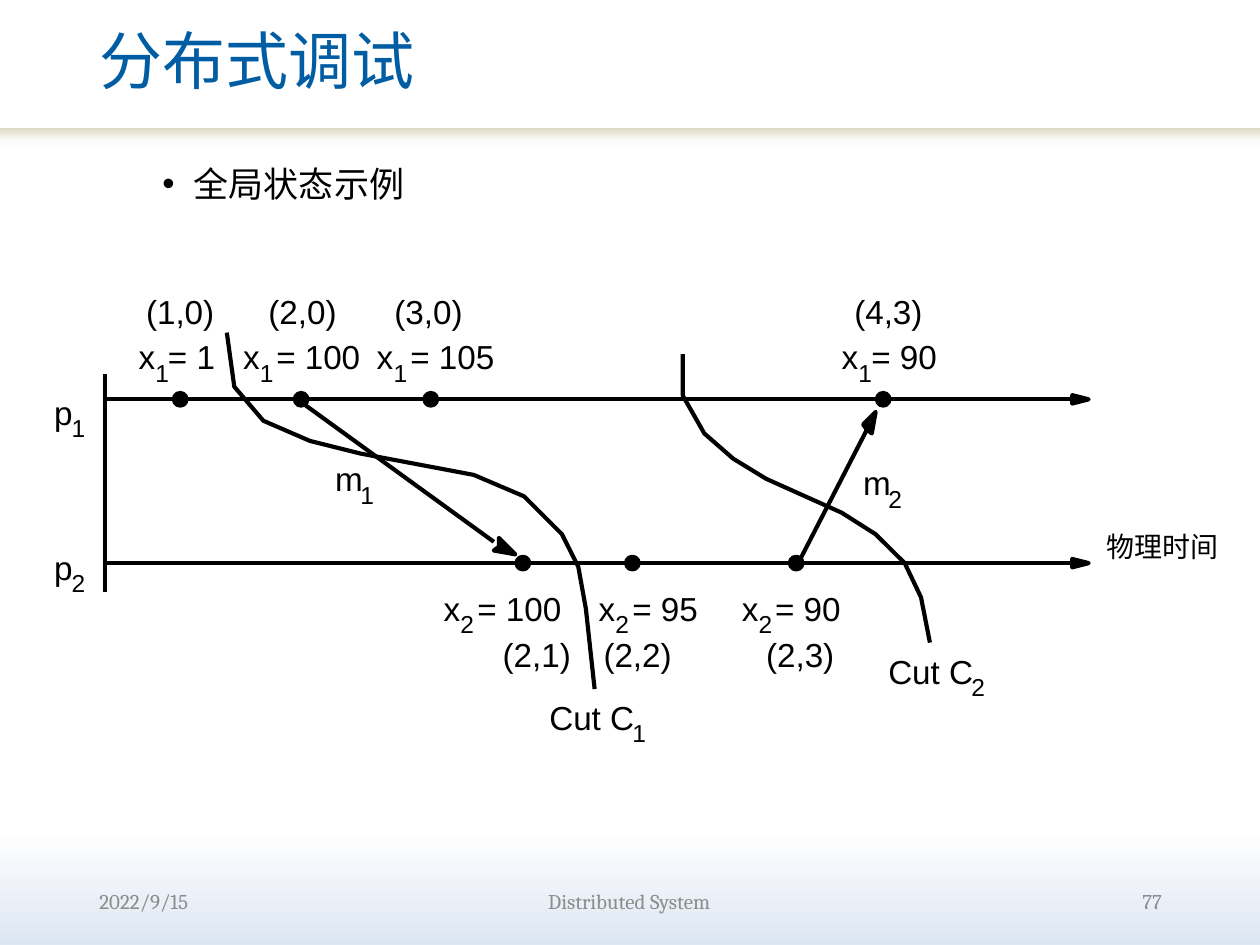
from dataclasses import dataclass
from lxml import etree
from pptx import Presentation
from pptx.dml.color import RGBColor
from pptx.enum.shapes import MSO_CONNECTOR, MSO_SHAPE
from pptx.enum.text import MSO_ANCHOR, PP_ALIGN
from pptx.oxml.ns import qn
from pptx.shapes.base import BaseShape
from pptx.slide import Slide
from pptx.util import Pt

LINE = MSO_CONNECTOR.STRAIGHT
RECT, OVAL = MSO_SHAPE.RECTANGLE, MSO_SHAPE.OVAL
TOP, MIDDLE = MSO_ANCHOR.TOP, MSO_ANCHOR.MIDDLE
LEFT, CENTER, RIGHT = PP_ALIGN.LEFT, PP_ALIGN.CENTER, PP_ALIGN.RIGHT

HUES = {"ink": "000000", "title": "005DA3", "foot": "8C8C8C", "white": "FFFFFF",
        "pale": "FBFBFB", "sand": "DDD9C3", "sky": "DCE6F2"}
WIDE, HIGH = 720, 540
STROKE, DOT = 2.38, 7.2
AXIS, TIP = 59.8, 612.7
ROW1, ROW2 = 228.2, 321.8

Point = tuple[float, float]


@dataclass(frozen=True)
class Event:
    dot: float
    left: float
    gap: float
    value: str
    clock: str
    mark: float


@dataclass(frozen=True)
class Row:
    y: float
    sub: str
    name_y: float
    value_y: float
    clock_y: float
    events: tuple[Event, ...]


@dataclass(frozen=True)
class Label:
    base: str
    sub: str
    x: float
    y: float
    gap: float
    drop: float = 12


@dataclass(frozen=True)
class Arrow:
    start: Point
    end: Point
    head: tuple[Point, ...]


ROWS = (
    Row(ROW1, "1", 223.9, 192.4, 166.3, (
        Event(103, 79.2, 16.8, "= 1", "(1,0)", 83.5),
        Event(172.1, 139, 18.9, "= 100", "(2,0)", 153.4),
        Event(246.2, 215.3, 19.2, "= 105", "(3,0)", 225.4),
        Event(504.7, 481, 17, "= 90", "(4,3)", 488.2))),
    Row(ROW2, "2", 312.5, 336.2, 362.2, (
        Event(298.8, 253.5, 19.3, "= 100", "(2,1)", 287.3),
        Event(361.4, 342.1, 19.3, "= 95", "(2,2)", 344.9),
        Event(455, 424, 18.9, "= 90", "(2,3)", 437.8))),
)
LABELS = (
    Label("m", "1", 191.5, 262.1, 14.4),
    Label("m", "2", 493.2, 264.4, 14.4),
    Label("Cut C", "1", 313.9, 398.2, 47.5),
    Label("Cut C", "2", 507.6, 372.2, 47.5),
)
MAILS = (
    Arrow((169.9, ROW1), (282.2, 309.6),
          ((285.1, 312.5), (285.1, 307.4), (294.5, 316.8), (282.2, 314.6))),
    Arrow((455, 324), (495.4, 245.5),
          ((495.4, 245.5), (493.2, 242.6), (500.4, 235.4), (498.2, 247.7))),
)
CUTS = (
    ((129.6, 190.1), (133.9, 221), (150.5, 240.5), (177.1, 252), (205.9, 259.2),
     (270.7, 271.4), (299.5, 283.7), (321.1, 305.3), (330.5, 324), (334.8, 347.8),
     (339.8, 393.8)),
    ((531.4, 367.2), (526.3, 341.3), (517, 321.8), (500.4, 305.3), (481, 293),
     (437.8, 273.6), (419, 262.1), (402.5, 247.7), (390.2, 226.1), (390.2, 202.3)),
)
FOOT = (("2022/9/15", 49.7, 149.8, LEFT), ("Distributed System", 198.7, 321.8, CENTER),
        ("77", 521.3, 149.8, RIGHT))


def paint(part, hue: str) -> None:
    part.solid()
    part.fore_color.rgb = RGBColor.from_string(HUES[hue])


def blend(fill, root, stops: tuple[tuple[int, str], ...], angle: int) -> None:
    fill.gradient()
    fill.gradient_angle = angle
    holder = next(root.iter(qn("a:gsLst")))
    for old in list(holder):
        holder.remove(old)
    for place, hue in stops:
        stop = etree.SubElement(holder, qn("a:gs"), pos=str(place * 1000))
        etree.SubElement(stop, qn("a:srgbClr"), val=HUES[hue])


def write(slide: Slide, words: str, x: float, y: float, w: float = 50, h: float = 23, *,
          size: float = 19, font: str = "Arial", hue: str = "ink", align=LEFT,
          anchor=TOP, inset: bool = False, space: float = 1, bullet: bool = False) -> None:
    frame = slide.shapes.add_textbox(Pt(x), Pt(y), Pt(w), Pt(h)).text_frame
    frame.word_wrap = inset
    frame.vertical_anchor = anchor
    if not inset:
        frame.margin_left = frame.margin_right = frame.margin_top = frame.margin_bottom = 0
    para = frame.paragraphs[0]
    if bullet:
        props = para._p.get_or_add_pPr()
        props.set("marL", str(Pt(54)))
        props.set("indent", str(Pt(-18)))
        etree.SubElement(props, qn("a:buFont"), typeface="Arial")
        etree.SubElement(props, qn("a:buChar"), char="•")
    para.alignment = align
    para.line_spacing = space
    run = para.add_run()
    run.text = words
    run.font.size = Pt(size)
    run.font.name = font
    run.font.color.rgb = RGBColor.from_string(HUES[hue])


def outline(shape: BaseShape) -> None:
    paint(shape.line.fill, "ink")
    shape.line.width = Pt(STROKE)


def rule(slide: Slide, start: Point, end: Point) -> None:
    line = slide.shapes.add_connector(LINE, *(Pt(n) for n in start + end))
    outline(line)
    etree.SubElement(line._element.spPr, qn("a:effectLst"))


def trace(slide: Slide, points: tuple[Point, ...], closed: bool) -> None:
    first, *rest = [(Pt(x), Pt(y)) for x, y in points]
    pen = slide.shapes.build_freeform(*first, scale=1.0)
    pen.add_line_segments(rest, close=closed)
    shape = pen.convert_to_shape()
    shape.shadow.inherit = False
    outline(shape)
    if closed:
        paint(shape.fill, "ink")
    else:
        shape.fill.background()


def arrow(slide: Slide, item: Arrow) -> None:
    trace(slide, item.head, True)
    rule(slide, item.start, item.end)


def label(slide: Slide, item: Label) -> None:
    write(slide, item.base, item.x, item.y)
    write(slide, item.sub, item.x + item.gap, item.y + item.drop, 8, 17, size=14)


def event(slide: Slide, row: Row, item: Event) -> None:
    dot = slide.shapes.add_shape(OVAL, Pt(item.dot - DOT / 2), Pt(row.y - DOT / 2),
                                 Pt(DOT), Pt(DOT))
    dot.shadow.inherit = False
    paint(dot.fill, "ink")
    outline(dot)
    label(slide, Label("x", row.sub, item.left, row.value_y, 9.6))
    write(slide, item.value, item.left + item.gap, row.value_y)
    write(slide, item.clock, item.mark, row.clock_y)


def main() -> None:
    deck = Presentation()
    deck.slide_width, deck.slide_height = Pt(WIDE), Pt(HIGH)
    slide = deck.slides.add_slide(deck.slide_layouts[6])
    blend(slide.background.fill, slide._element,
          ((0, "white"), (88, "white"), (100, "sky")), 270)
    band = slide.shapes.add_shape(RECT, 0, Pt(73.4), Pt(WIDE), Pt(12.2))
    band.shadow.inherit = False
    band.line.fill.background()
    blend(band.fill, band._element, ((0, "white"), (45, "pale"), (100, "sand")), 90)

    write(slide, "分布式调试", 49.7, 0, 597.6, 73.4, size=36, font="Cambria",
          hue="title", anchor=MIDDLE, inset=True, space=0.9)
    write(slide, "全局状态示例", 49.7, 87.1, 620.6, 399.6, size=20, font="Cambria",
          inset=True, space=1.1, bullet=True)

    rule(slide, (AXIS, 213.8), (AXIS, 338.4))
    for row in ROWS:
        y = row.y
        head = ((TIP, y), (TIP, y - 2.4), (TIP + 9.4, y), (TIP, y + 2.4))
        arrow(slide, Arrow((AXIS, y), (TIP, y), head))
        label(slide, Label("p", row.sub, 31, row.name_y, 10))
        for item in row.events:
            event(slide, row, item)
    for mail in MAILS:
        arrow(slide, mail)
    for cut in CUTS:
        trace(slide, cut, False)
    for item in LABELS:
        label(slide, item)
    write(slide, "物理时间", 632.2, 302.4, 69, size=16)
    for words, x, w, align in FOOT:
        write(slide, words, x, 500.4, w, 28.8, size=12, font="Cambria", hue="foot",
              align=align, anchor=MIDDLE, inset=True)
    deck.save("out.pptx")


if __name__ == "__main__":
    main()
